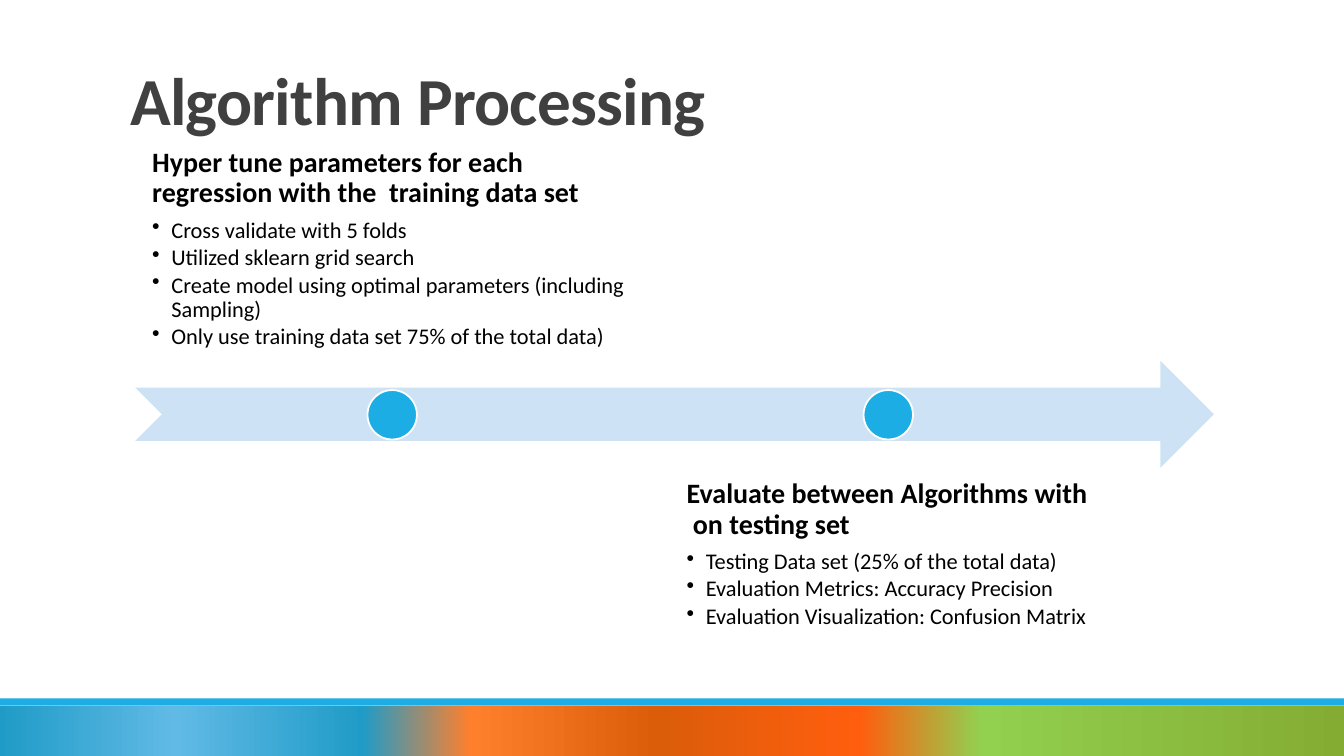
from dataclasses import dataclass

from lxml import etree
from pptx import Presentation
from pptx.dml.color import RGBColor
from pptx.enum.shapes import MSO_SHAPE as Shape
from pptx.enum.text import MSO_ANCHOR as Anchor, MSO_AUTO_SIZE as AutoSize, PP_ALIGN as Align
from pptx.oxml.ns import qn
from pptx.util import Inches, Pt

FONT = "Calibri"
COLORS = {
    "accent": "1CADE4",
    "arrow": "CDE3F5",
    "title": "404040",
    "body": "000000",
    "white": "FFFFFF",
}
FOOTER_STOPS = [
    (0, "209BC7"), (13, "61BAE6"), (27, "209BC7"), (35, "FE802D"),
    (49, "DB5D0A"), (64, "FF5E0E"), (73, "92D050"), (100, "84AC32"),
]
SLIDE_WIDTH = 13.33
MARKER_TOP, MARKER_SIZE = 3.87, 0.49
STEP_HEIGHT = 1.96
STEP_INSET = Inches(0.16)
BULLET_INDENT = Inches(0.19)


@dataclass(frozen=True)
class Step:
    left: float
    top: float
    width: float
    anchor: Anchor
    heading: str
    bullets: tuple[str, ...]

    @property
    def marker_left(self) -> float:
        return self.left + (self.width - MARKER_SIZE) / 2


STEPS = [
    Step(1.35, 1.67, 5.08, Anchor.BOTTOM,
         "Hyper tune parameters for each regression with the  training data set",
         ("Cross validate with 5 folds",
          "Utilized sklearn grid search",
          "Create model using optimal parameters (including Sampling)",
          "Only use training data set 75% of the total data)")),
    Step(6.65, 4.6, 4.32, Anchor.TOP,
         "Evaluate between Algorithms with  on testing set",
         ("Testing Data set (25% of the total data)",
          "Evaluation Metrics: Accuracy Precision",
          "Evaluation Visualization: Confusion Matrix")),
]


def rgb(name: str) -> RGBColor:
    return RGBColor.from_string(COLORS[name])


def add_shape(slide, kind: Shape, left: float, top: float, width: float, height: float,
              color: str):
    shape = slide.shapes.add_shape(kind, Inches(left), Inches(top), Inches(width), Inches(height))
    shape.shadow.inherit = False
    shape.fill.solid()
    shape.fill.fore_color.rgb = rgb(color)
    shape.line.fill.background()
    return shape


def set_gradient(shape, stops: list[tuple[int, str]]) -> None:
    """Fill the shape from left to right with (percent, hex colour) stops."""
    shape.fill.gradient()
    shape.fill.gradient_angle = 0
    stop_list = shape._element.spPr.find(qn("a:gradFill")).find(qn("a:gsLst"))
    for old_stop in list(stop_list):
        stop_list.remove(old_stop)
    for percent, color in stops:
        stop = etree.SubElement(stop_list, qn("a:gs"), pos=str(percent * 1000))
        etree.SubElement(stop, qn("a:srgbClr"), val=color)


def format_paragraph(paragraph, size: int, color: str, bold: bool, line_spacing: float) -> None:
    paragraph.alignment = Align.LEFT
    paragraph.line_spacing = line_spacing
    font = paragraph.font
    font.name, font.size, font.bold = FONT, Pt(size), bold
    font.color.rgb = rgb(color)


def add_bullet(paragraph) -> None:
    properties = paragraph._p.get_or_add_pPr()
    properties.set("marL", str(BULLET_INDENT))
    properties.set("indent", str(-BULLET_INDENT))
    bullet = etree.Element(qn("a:buChar"), char="•")
    properties.find(qn("a:defRPr")).addprevious(bullet)


def add_title(slide, text: str) -> None:
    title = slide.shapes.title
    title.left, title.top = Inches(1.19), Inches(0.65)
    title.width, title.height = Inches(11), Inches(1.59)
    frame = title.text_frame
    frame.text = text
    frame.word_wrap = True
    frame.auto_size = AutoSize.NONE
    frame.vertical_anchor = Anchor.TOP
    heading = frame.paragraphs[0]
    format_paragraph(heading, 48, "title", True, 0.85)
    heading.runs[0].font._element.set("spc", "-50")


def add_step(slide, step: Step) -> None:
    box = slide.shapes.add_textbox(Inches(step.left), Inches(step.top),
                                   Inches(step.width), Inches(STEP_HEIGHT))
    frame = box.text_frame
    frame.word_wrap = True
    frame.vertical_anchor = step.anchor
    frame.margin_left = frame.margin_right = STEP_INSET
    frame.margin_top = frame.margin_bottom = STEP_INSET

    heading = frame.paragraphs[0]
    heading.text = step.heading
    format_paragraph(heading, 20, "body", True, 0.9)
    heading.space_after = Pt(7)
    for text in step.bullets:
        item = frame.add_paragraph()
        item.text = text
        item.level = 1
        format_paragraph(item, 16, "body", False, 0.9)
        item.space_after = Pt(2.4)
        add_bullet(item)

    marker = add_shape(slide, Shape.OVAL, step.marker_left, MARKER_TOP,
                       MARKER_SIZE, MARKER_SIZE, "accent")
    marker.line.color.rgb = rgb("white")
    marker.line.width = Pt(1.25)


def main() -> None:
    deck = Presentation()
    deck.slide_width, deck.slide_height = Inches(SLIDE_WIDTH), Inches(7.5)
    slide = deck.slides.add_slide(deck.slide_layouts[5])

    footer = add_shape(slide, Shape.RECTANGLE, 0, 7, SLIDE_WIDTH, 0.5, "accent")
    set_gradient(footer, FOOTER_STOPS)
    add_shape(slide, Shape.RECTANGLE, 0, 6.93, SLIDE_WIDTH, 0.07, "accent")
    add_shape(slide, Shape.NOTCHED_RIGHT_ARROW, 1.34, 3.58, 10.7, 1.06, "arrow")
    for step in STEPS:
        add_step(slide, step)
    add_title(slide, "Algorithm Processing")
    deck.save("out.pptx")


if __name__ == "__main__":
    main()
